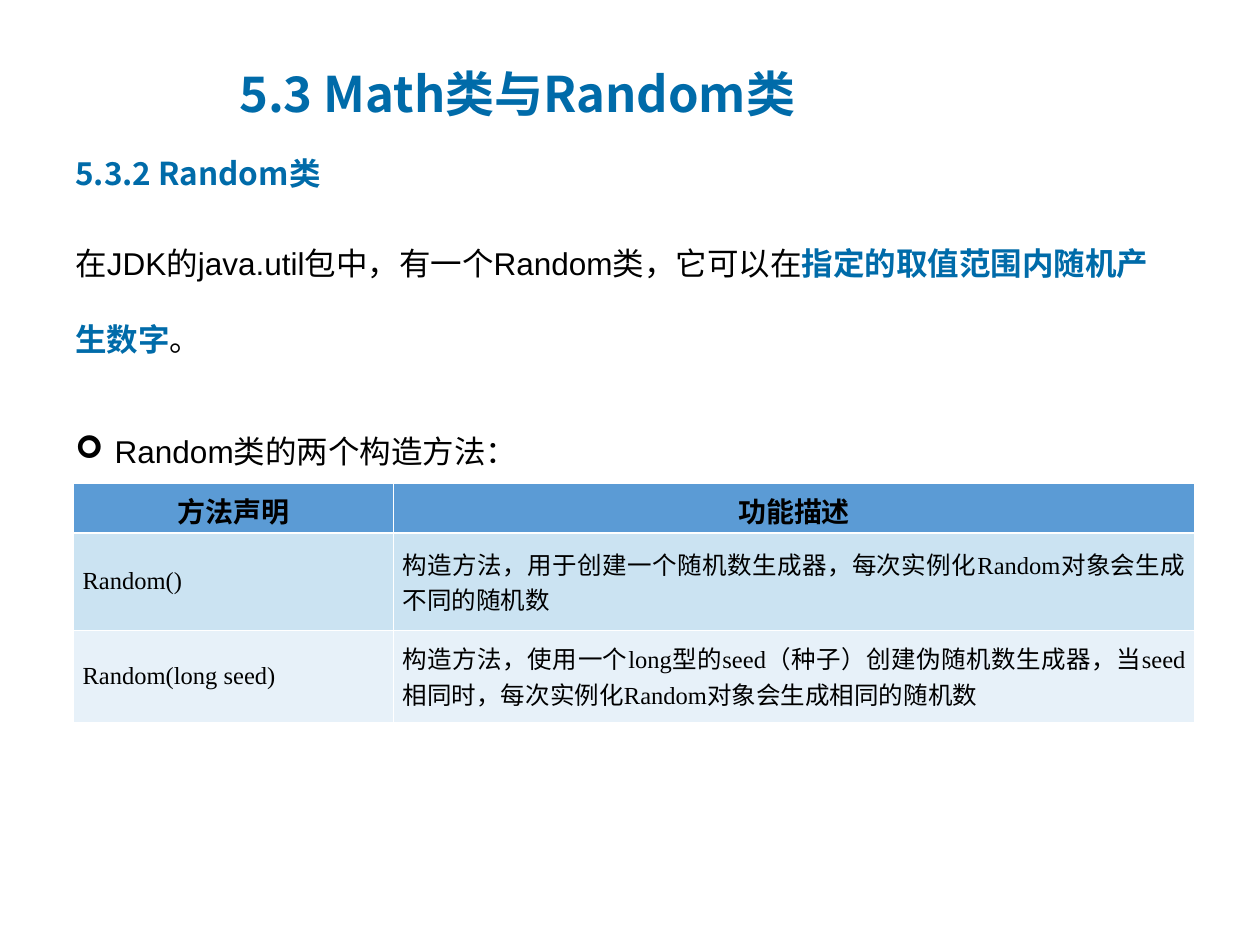
from lxml import etree
from pptx import Presentation
from pptx.dml.color import RGBColor
from pptx.enum.text import MSO_ANCHOR as Anchor, PP_ALIGN as Align
from pptx.oxml.ns import qn
from pptx.util import Pt

COLORS = {
    "accent": "006BA9", "text": "000000", "line": "FFFFFF",
    "header": "5B9BD5", "first": "CBE3F2", "second": "E7F1F9",
}
CJK_FONT = "Noto Sans CJK SC"


def write(paragraph, text, size=18, font=CJK_FONT, color="text", bold=False):
    run = paragraph.add_run()
    run.text = text
    run.font.size = Pt(size)
    run.font.name = font
    run.font.bold = bold
    run.font.color.rgb = RGBColor.from_string(COLORS[color])
    etree.SubElement(run._r.get_or_add_rPr(), qn("a:ea"), typeface=CJK_FONT)


def add_text_box(left, top, width, height, spacing=None, anchor=Anchor.TOP):
    shape = slide.shapes.add_textbox(Pt(left), Pt(top), Pt(width), Pt(height))
    shape.text_frame.word_wrap = True
    shape.text_frame.vertical_anchor = anchor
    paragraph = shape.text_frame.paragraphs[0]
    paragraph.line_spacing = spacing
    return paragraph


presentation = Presentation()
presentation.slide_width, presentation.slide_height = Pt(720), Pt(540)
slide = presentation.slides.add_slide(presentation.slide_layouts[6])

# Title and section heading
title = add_text_box(129.6, 31, 420, 44, anchor=Anchor.MIDDLE)
write(title, "5.3 Math类与Random类", size=28, color="accent", bold=True)
heading = add_text_box(36, 84.2, 648, 51)
write(heading, "5.3.2 Random类", color="accent", bold=True)

# Introduction
intro = add_text_box(36, 114.5, 643, 93.6, spacing=2.0)
write(intro, "在JDK的java.util包中，有一个Random类，它可以在", font="Arial")
write(intro, "指定的取值范围内随机产生数字", font="Arial", color="accent", bold=True)
write(intro, "。", font="Arial")

# Bulleted lead-in to the table
lead = add_text_box(36, 221.8, 648, 50.4, spacing=2.0)
properties = lead._p.get_or_add_pPr()
properties.set("marL", str(Pt(22.5)))
properties.set("indent", str(Pt(-22.5)))
etree.SubElement(properties, qn("a:buFont"), typeface="Wingdings")
etree.SubElement(properties, qn("a:buChar"), char="➢")
write(lead, "Random类的两个构造方法：", font="Arial")

# Constructor table
rows = [
    ("方法声明", "功能描述"),
    ("Random()", "构造方法，用于创建一个随机数生成器，每次实例化Random对象会生成不同的随机数"),
    ("Random(long seed)", "构造方法，使用一个long型的seed（种子）创建伪随机数生成器，"
     "当seed相同时，每次实例化Random对象会生成相同的随机数"),
]
row_heights = [28, 55.5, 52.7]
row_fills = ["header", "first", "second"]
table = slide.shapes.add_table(3, 2, Pt(41.8), Pt(276.5), Pt(641), Pt(sum(row_heights))).table
for column, width in zip(table.columns, (183, 458)):
    column.width = Pt(width)

for r, texts in enumerate(rows):
    table.rows[r].height = Pt(row_heights[r])
    for c, text in enumerate(texts):
        cell = table.cell(r, c)
        cell.vertical_anchor = Anchor.MIDDLE
        cell.margin_left = cell.margin_right = Pt(5.4)
        cell.margin_top = cell.margin_bottom = Pt(3.6)
        paragraph = cell.text_frame.paragraphs[0]
        if r == 0:
            paragraph.alignment = Align.CENTER
            write(paragraph, text, size=16, font="Calibri", bold=True)
        else:
            paragraph.alignment = Align.JUSTIFY if c else Align.LEFT
            write(paragraph, text, size=14, font="Times New Roman")

        # White borders, thicker below the header
        cell_properties = cell._tc.get_or_add_tcPr()
        for side in "LRTB":
            thick = (r, side) in ((0, "B"), (1, "T"))
            border = etree.SubElement(cell_properties, qn(f"a:ln{side}"),
                                      w=str(Pt(1.5 if thick else 0.5)))
            fill = etree.SubElement(border, qn("a:solidFill"))
            etree.SubElement(fill, qn("a:srgbClr"), val=COLORS["line"])
        cell.fill.solid()
        cell.fill.fore_color.rgb = RGBColor.from_string(COLORS[row_fills[r]])

presentation.save("out.pptx")
